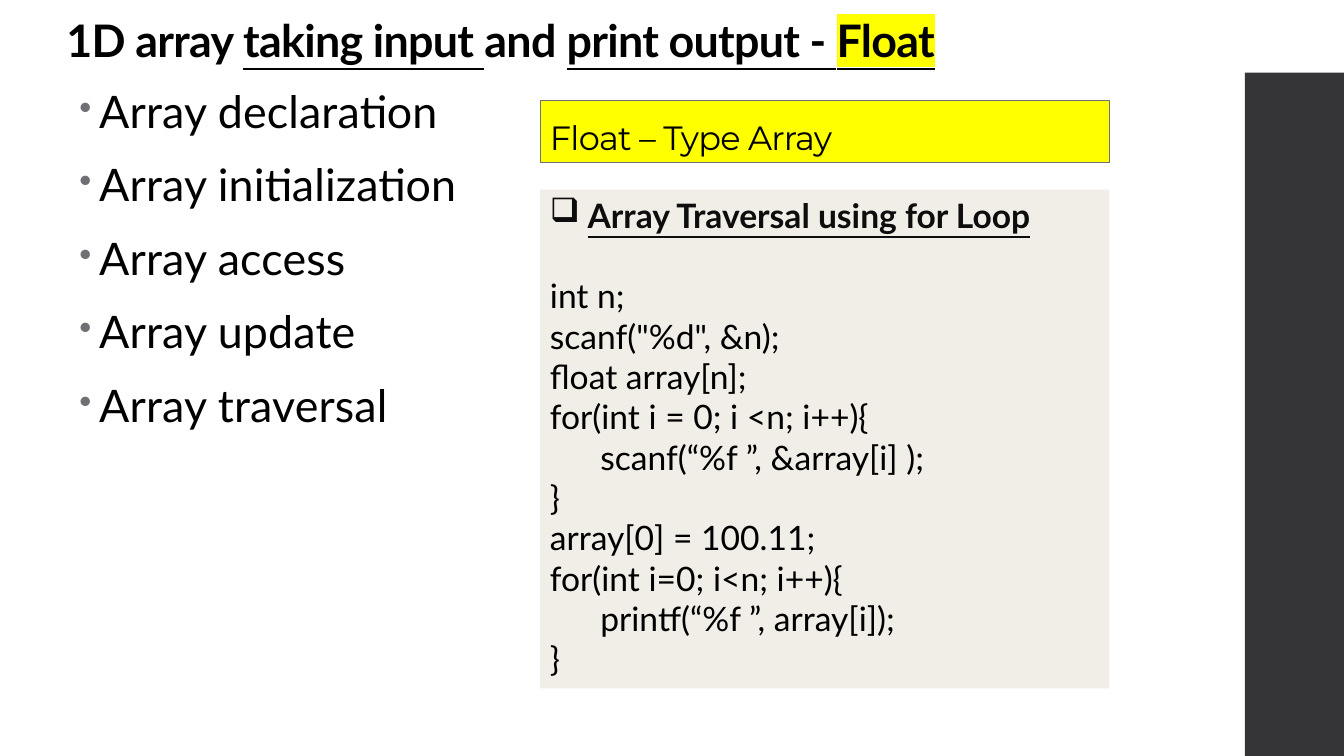
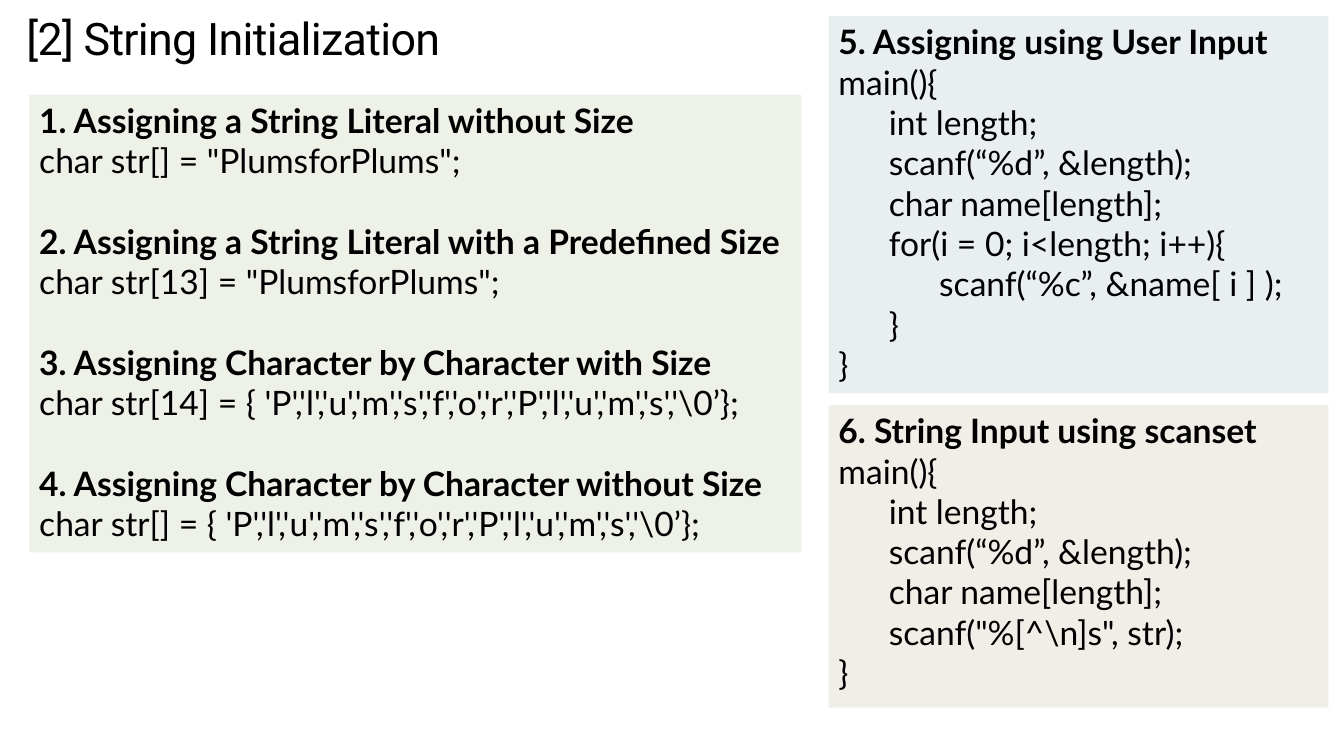
"""Build two lecture slides on C arrays and strings."""
from dataclasses import dataclass
from typing import Optional, Sequence

from lxml.etree import SubElement
from pptx import Presentation
from pptx.dml.color import RGBColor
from pptx.enum.shapes import MSO_SHAPE as Shape
from pptx.enum.text import MSO_ANCHOR as Anchor, MSO_AUTO_SIZE as AutoSize, PP_ALIGN as Align
from pptx.oxml.ns import qn
from pptx.util import Cm, Pt

BLACK = RGBColor(0x00, 0x00, 0x00)
INK = RGBColor(0x0D, 0x0D, 0x0D)
WHITE = RGBColor(0xFF, 0xFF, 0xFF)
YELLOW = RGBColor(0xFF, 0xFF, 0x00)
GRAY = RGBColor(0x6F, 0x6F, 0x74)
CHARCOAL = RGBColor(0x35, 0x35, 0x37)
SAND = RGBColor(0xF1, 0xED, 0xE7)
SAGE = RGBColor(0xED, 0xF1, 0xE7)
MIST = RGBColor(0xE9, 0xEE, 0xF1)

TITLE_ONLY = 5
CODE_SIZE = 24
CODE_LINE = Pt(CODE_SIZE * 1.2)
TAB = Cm(1.27)


@dataclass(frozen=True)
class Box:
    """A rectangle in centimetres."""
    left: float
    top: float
    width: float
    height: float

    def emu(self) -> tuple:
        """Return the rectangle as lengths."""
        return Cm(self.left), Cm(self.top), Cm(self.width), Cm(self.height)


@dataclass(frozen=True)
class Style:
    """How a run of text looks."""
    font: str = "Lato"
    size: int = CODE_SIZE
    spacing: float = 0
    bold: bool = False
    underline: bool = False
    color: RGBColor = BLACK
    highlight: Optional[RGBColor] = None


@dataclass(frozen=True)
class Span:
    """A piece of a title."""
    text: str
    style: Style


@dataclass(frozen=True)
class Line:
    """A line of a code panel."""
    text: str
    depth: int = 0
    style: Style = Style()
    gap: bool = False
    bullet: str = ""


@dataclass(frozen=True)
class Panel:
    """A tinted box of code lines."""
    box: Box
    fill: RGBColor
    lines: Sequence[Line]
    align: Align = Align.JUSTIFY


HEAD = Style(bold=True)
NAME = "PlumsforPlums"
LETTERS = ",".join(f"'{c}'" for c in NAME)
CHARACTERS = f"{{ {LETTERS},'\\0’}};"

TOPICS = ["declaration", "initialization", "access", "update", "traversal"]
BOLD = Style(size=32, spacing=-0.5, bold=True)
UNDERLINED = Style(size=32, spacing=-0.5, bold=True, underline=True)
MARKED = Style(size=32, spacing=-0.5, bold=True, underline=True, highlight=YELLOW)
ARRAY_TITLE = [
    Span("1D array ", BOLD),
    Span("taking input ", UNDERLINED),
    Span("and ", BOLD),
    Span("print output - ", UNDERLINED),
    Span("Float", MARKED),
]
STRING_TITLE = [Span("[2] String Initialization", Style("Roboto", 32, -0.5))]

TRAVERSAL = Panel(Box(13.61, 4.78, 14.35, 12.57), SAND, [
    Line("Array Traversal using for Loop", bullet="❑",
         style=Style(bold=True, underline=True, color=INK)),
    Line("int n;", gap=True),
    Line('scanf("%d", &n);'),
    Line("float array[n];"),
    Line("for(int i = 0; i <n; i++){"),
    Line("scanf(“%f ”, &array[i] );", 1),
    Line("}"),
    Line("array[0] = 100.11;"),
    Line("for(int i=0; i<n; i++){"),
    Line("printf(“%f ”, array[i]);", 1),
    Line("}"),
], Align.LEFT)

READ_LENGTH = [
    Line("main(){"),
    Line("int length;", 1),
    Line("scanf(“%d”, &length);", 1),
    Line("char name[length];", 1),
]
STRING_PANELS = [
    Panel(Box(0.74, 2.39, 19.46, 11.53), SAGE, [
        Line("1. Assigning a String Literal without Size", style=HEAD),
        Line(f'char str[] = "{NAME}";'),
        Line("2. Assigning a String Literal with a Predefined Size", style=HEAD, gap=True),
        Line(f'char str[13] = "{NAME}";'),
        Line("3. Assigning Character by Character with Size", style=HEAD, gap=True),
        Line(f"char str[14] = {CHARACTERS}"),
        Line("4. Assigning Character by Character without Size", style=HEAD, gap=True),
        Line(f"char str[] = {CHARACTERS}"),
    ]),
    Panel(Box(20.88, 0.41, 12.6, 9.5), MIST, [
        Line("5. Assigning using User Input", style=HEAD),
        *READ_LENGTH,
        Line("for(i = 0; i<length; i++){", 1),
        Line("scanf(“%c”, &name[ i ] );", 2),
        Line("}", 1),
        Line("}"),
    ]),
    Panel(Box(20.88, 10.21, 12.6, 7.62), SAND, [
        Line("6. String Input using scanset", style=HEAD),
        *READ_LENGTH,
        Line('scanf("%[^\\n]s", str);', 1),
        Line("}"),
    ]),
]


def format_run(r, style: Style) -> None:
    """Apply a style to a run."""
    font = r.font
    font.name, font.size = style.font, Pt(style.size)
    font.bold, font.underline = style.bold, style.underline
    font.color.rgb = style.color
    props = r._r.get_or_add_rPr()
    if style.spacing:
        props.set("spc", str(round(style.spacing * 100)))
    if style.highlight is not None:
        mark = props.makeelement(qn("a:highlight"))
        SubElement(mark, qn("a:srgbClr"), val=str(style.highlight))
        props.find(qn("a:solidFill")).addnext(mark)


def set_indent(p, left: int, first: int = 0) -> None:
    """Set the left margin and first-line indent of a paragraph."""
    props = p._p.get_or_add_pPr()
    props.set("marL", str(int(left)))
    props.set("indent", str(int(first)))


def set_bullet(p, char: str, hang: int, color: Optional[RGBColor] = None,
               percent: int = 100) -> None:
    """Give a paragraph a hanging bullet."""
    set_indent(p, hang, -hang)
    props = p._p.get_or_add_pPr()
    if color is not None:
        SubElement(SubElement(props, qn("a:buClr")), qn("a:srgbClr"), val=str(color))
    SubElement(props, qn("a:buSzPct"), val=str(percent * 1000))
    SubElement(props, qn("a:buChar"), char=char)


def add_rect(s, box: Box, fill: RGBColor, line: Optional[RGBColor] = None):
    """Add a flat rectangle."""
    sp = s.shapes.add_shape(Shape.RECTANGLE, *box.emu())
    sp.shadow.inherit = False
    sp.fill.solid()
    sp.fill.fore_color.rgb = fill
    if line is None:
        sp.line.fill.background()
    else:
        sp.line.color.rgb = line
        sp.line.width = Pt(0.75)
    return sp


def set_title(s, box: Box, spans: Sequence[Span]):
    """Place the title and fill in its spans."""
    sp = s.shapes.title
    sp.left, sp.top, sp.width, sp.height = box.emu()
    tf = sp.text_frame
    tf.auto_size, tf.vertical_anchor = AutoSize.NONE, Anchor.BOTTOM
    p = tf.paragraphs[0]
    p.alignment, p.line_spacing = Align.LEFT, 0.9
    for span in spans:
        r = p.add_run()
        r.text = span.text
        format_run(r, span.style)
    return sp


def add_panel(s, panel: Panel) -> None:
    """Add a tinted box of code."""
    tf = add_rect(s, panel.box, panel.fill).text_frame
    tf.word_wrap, tf.auto_size = True, AutoSize.SHAPE_TO_FIT_TEXT
    tf.vertical_anchor = Anchor.TOP
    tf.text = "\n".join(line.text for line in panel.lines)
    for p, line in zip(tf.paragraphs, panel.lines):
        p.alignment = panel.align
        if line.gap:
            p.space_before = CODE_LINE
        if line.bullet:
            set_bullet(p, line.bullet, Cm(0.95))
        else:
            set_indent(p, line.depth * TAB)
        format_run(p.runs[0], line.style)


def add_topics(s, box: Box, topics: Sequence[str]) -> None:
    """Add the bulleted list of array topics."""
    tf = s.shapes.add_textbox(*box.emu()).text_frame
    tf.word_wrap = True
    tf.text = "\n".join(f"Array {topic}" for topic in topics)
    for p in tf.paragraphs:
        p.line_spacing, p.space_before, p.space_after = 0.95, Pt(14), Pt(2)
        set_bullet(p, "•", Cm(0.5), GRAY, 80)
        format_run(p.runs[0], Style(size=32, spacing=0.1))


def add_label(s, box: Box, text: str) -> None:
    """Add the yellow label above the code."""
    tf = add_rect(s, box, YELLOW, GRAY).text_frame
    tf.word_wrap, tf.vertical_anchor = True, Anchor.BOTTOM
    tf.text = text
    p = tf.paragraphs[0]
    p.alignment, p.line_spacing = Align.LEFT, 0.9
    format_run(p.runs[0], Style("Montserrat", spacing=-0.5))


def build_array_slide(prs) -> None:
    """Build the slide on float arrays."""
    s = prs.slides.add_slide(prs.slide_layouts[TITLE_ONLY])
    title = set_title(s, Box(1.42, 0, 32.45, 1.83), ARRAY_TITLE)
    title.fill.solid()
    title.fill.fore_color.rgb = WHITE
    band = add_rect(s, Box(31.37, 0, 2.5, 19.05), CHARCOAL)
    title._element.addprevious(band._element)
    add_topics(s, Box(1.75, 2.08, 23.88, 12.09), TOPICS)
    add_label(s, Box(13.61, 2.54, 14.35, 1.55), "Float – Type Array")
    add_panel(s, TRAVERSAL)


def build_string_slide(prs) -> None:
    """Build the slide on string initialization."""
    s = prs.slides.add_slide(prs.slide_layouts[TITLE_ONLY])
    set_title(s, Box(0.41, 0.1, 29.57, 1.68), STRING_TITLE)
    for panel in STRING_PANELS:
        add_panel(s, panel)


def main() -> None:
    """Build and save the presentation."""
    prs = Presentation()
    prs.slide_width, prs.slide_height = Cm(33.87), Cm(19.05)
    build_array_slide(prs)
    build_string_slide(prs)
    prs.save("out.pptx")


if __name__ == "__main__":
    main()
